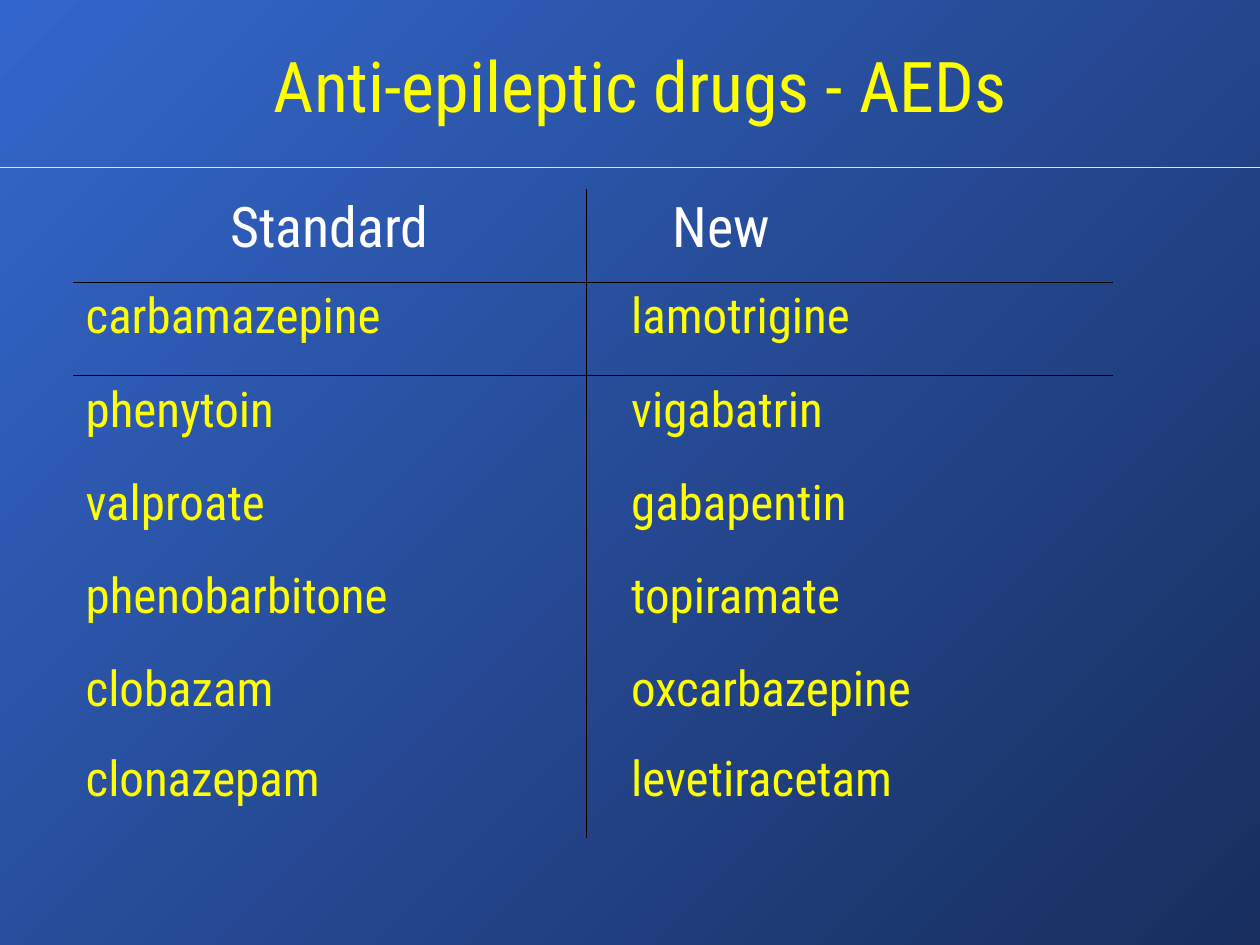
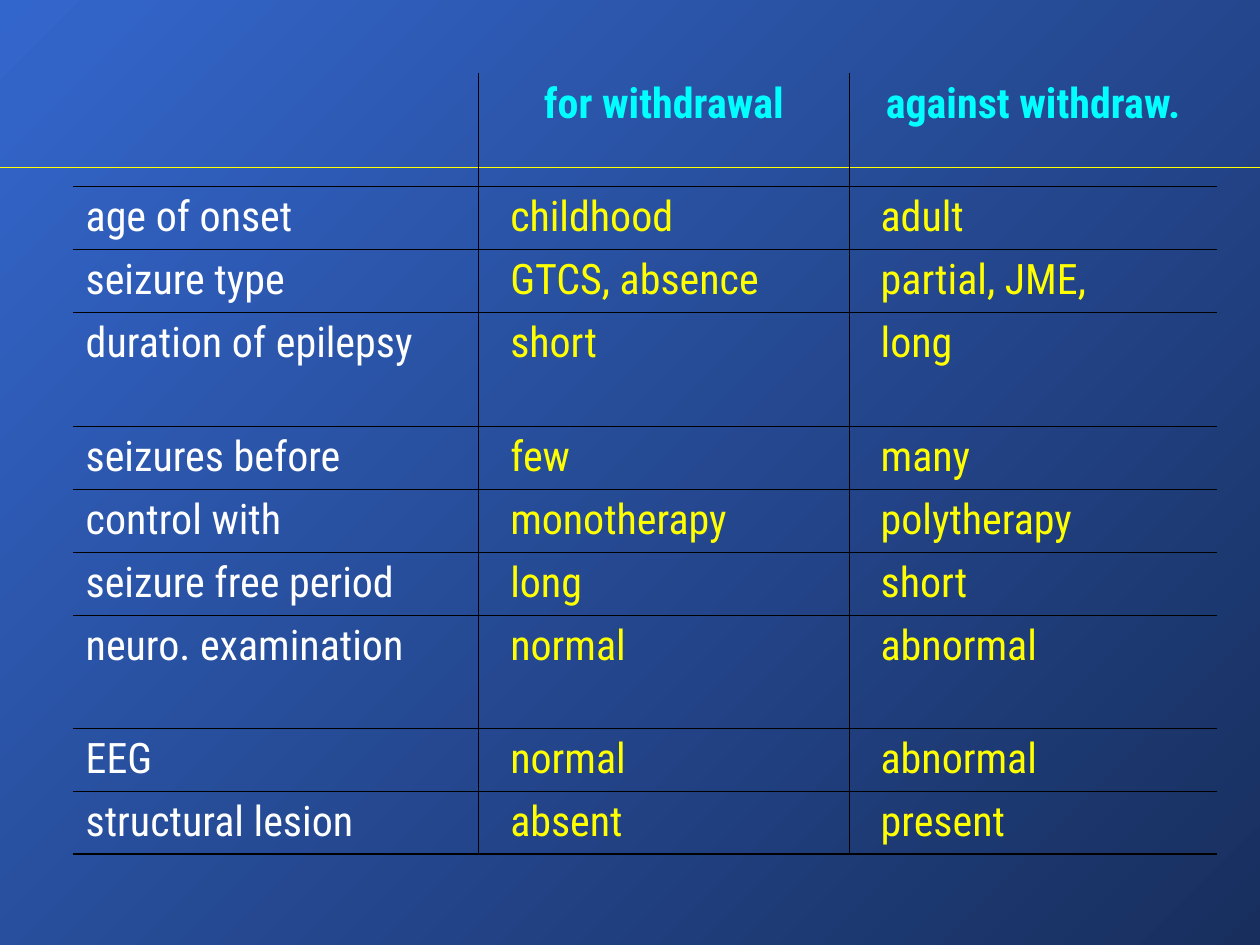
from lxml.etree import SubElement
from pptx import Presentation
from pptx.dml.color import RGBColor
from pptx.enum.shapes import MSO_CONNECTOR
from pptx.enum.text import PP_ALIGN
from pptx.oxml.ns import qn
from pptx.util import Inches, Pt

FONT = "Roboto Condensed"
BLUE = RGBColor(0x33, 0x66, 0xCC)
NAVY = RGBColor(0x18, 0x2F, 0x5E)
YELLOW = RGBColor(0xFF, 0xFF, 0x00)
CYAN = RGBColor(0x00, 0xFF, 0xFF)
WHITE = RGBColor(0xFF, 0xFF, 0xFF)
BLACK = RGBColor(0x00, 0x00, 0x00)

NO_STYLE = "{2D5ABB26-0587-4C30-8999-92F81FD0307C}"
THIN, THICK = 0.45, 1.08

DRUGS = [
    ("Standard", "New"),
    ("carbamazepine", "lamotrigine"),
    ("phenytoin", "vigabatrin"),
    ("valproate", "gabapentin"),
    ("phenobarbitone", "topiramate"),
    ("clobazam", "oxcarbazepine"),
    ("clonazepam", "levetiracetam"),
]
WITHDRAWAL = [
    ("", "for withdrawal", "against withdraw."),
    ("age of onset", "childhood", "adult"),
    ("seizure type", "GTCS, absence", "partial, JME,"),
    ("duration of epilepsy", "short", "long"),
    ("seizures before", "few", "many"),
    ("control with", "monotherapy", "polytherapy"),
    ("seizure free period", "long", "short"),
    ("neuro. examination", "normal", "abnormal"),
    ("EEG", "normal", "abnormal"),
    ("structural lesion", "absent", "present"),
]


class Deck:
    def __init__(self):
        self.prs = Presentation()
        self.prs.slide_width, self.prs.slide_height = Inches(10), Inches(7.5)
        self.s = None
        # Shared gradient background
        fill = self.prs.slide_master.background.fill
        fill.gradient()
        fill.gradient_angle = 315
        for stop, color in zip(fill.gradient_stops, (BLUE, NAVY)):
            stop.color.rgb = color

    def slide(self):
        self.s = self.prs.slides.add_slide(self.prs.slide_layouts[6])
        self.rule()

    def rule(self):
        y = Inches(1.33)
        line = self.s.shapes.add_connector(
            MSO_CONNECTOR.STRAIGHT, 0, y, self.prs.slide_width, y)
        line.line.color.rgb = YELLOW
        line.line.width = Pt(1)
        SubElement(line._element.spPr, qn("a:effectLst"))

    def label(self, tf, text, size, color, bold=False, centred=False):
        p = tf.paragraphs[0]
        p.text = text
        p.alignment = PP_ALIGN.CENTER if centred else PP_ALIGN.LEFT
        for r in p.runs:
            r.font.name, r.font.size, r.font.bold = FONT, Pt(size), bold
            r.font.color.rgb = color

    def title(self, text):
        sp = self.s.shapes.add_textbox(
            Inches(0.58), Inches(0.25), Inches(9), Inches(0.77))
        tf = sp.text_frame
        tf.word_wrap = True
        tf.margin_top = Inches(0.09)
        self.label(tf, text, 40, YELLOW, centred=True)

    def table(self, left, top, widths, heights):
        gf = self.s.shapes.add_table(
            len(heights), len(widths), Inches(left), Inches(top),
            Inches(sum(widths)), Inches(sum(heights)))
        table = gf.table
        table.first_row = table.horz_banding = False
        for style in gf._element.iter(qn("a:tableStyleId")):
            style.text = NO_STYLE
        for col, width in zip(table.columns, widths):
            col.width = Inches(width)
        for row, height in zip(table.rows, heights):
            row.height = Inches(height)
        return table

    def cell(self, cell, text, size, color, indent, borders, **style):
        # Borders come before the fill; sides follow the schema order L, R, T, B
        tc_pr = cell._tc.get_or_add_tcPr()
        for side in "LRTB":
            width = borders[side]
            if width:
                ln = SubElement(tc_pr, qn(f"a:ln{side}"), w=str(Pt(width)))
                fill = SubElement(ln, qn("a:solidFill"))
                SubElement(fill, qn("a:srgbClr"), val=str(BLACK))
        cell.fill.background()
        cell.margin_left = Inches(0.1 + indent)
        self.label(cell.text_frame, text, size, color, **style)


def inner_columns(col, count):
    """Thin lines between neighbouring columns."""
    return {"L": THIN if col else 0, "R": THIN if col < count - 1 else 0}


def drugs_slide(deck):
    deck.slide()
    table = deck.table(0.58, 1.5, [4.07, 4.18], [0.74] * 5 + [0.71, 0.74])
    for i, row in enumerate(DRUGS):
        for j, text in enumerate(row):
            borders = inner_columns(j, len(row))
            borders["T"] = THIN if i == 1 else 0
            borders["B"] = THIN if i == 0 else 0
            if i == 0:
                deck.cell(table.cell(i, j), text, 32, WHITE, 0.59 * j, borders,
                          centred=j == 0)
            else:
                deck.cell(table.cell(i, j), text, 28, YELLOW, 0.26 * j, borders)
    deck.title("Anti-epileptic drugs - AEDs")


def withdrawal_slide(deck):
    deck.slide()
    tall_rows = (0, 3, 7)
    heights = [0.9 if i in tall_rows else 0.5 for i in range(len(WITHDRAWAL))]
    table = deck.table(0.58, 0.58, [3.22, 2.94, 2.92], heights)
    last = len(WITHDRAWAL) - 1
    for i, row in enumerate(WITHDRAWAL):
        for j, text in enumerate(row):
            borders = inner_columns(j, len(row))
            borders["T"] = THIN if i else 0
            borders["B"] = THICK if i == last else THIN
            if i == 0:
                deck.cell(table.cell(i, j), text, 24, CYAN, 0, borders,
                          bold=True, centred=True)
            else:
                deck.cell(table.cell(i, j), text, 24, YELLOW if j else WHITE,
                          0.15 if j else 0, borders)


def main():
    deck = Deck()
    drugs_slide(deck)
    withdrawal_slide(deck)
    deck.prs.save("out.pptx")


if __name__ == "__main__":
    main()
